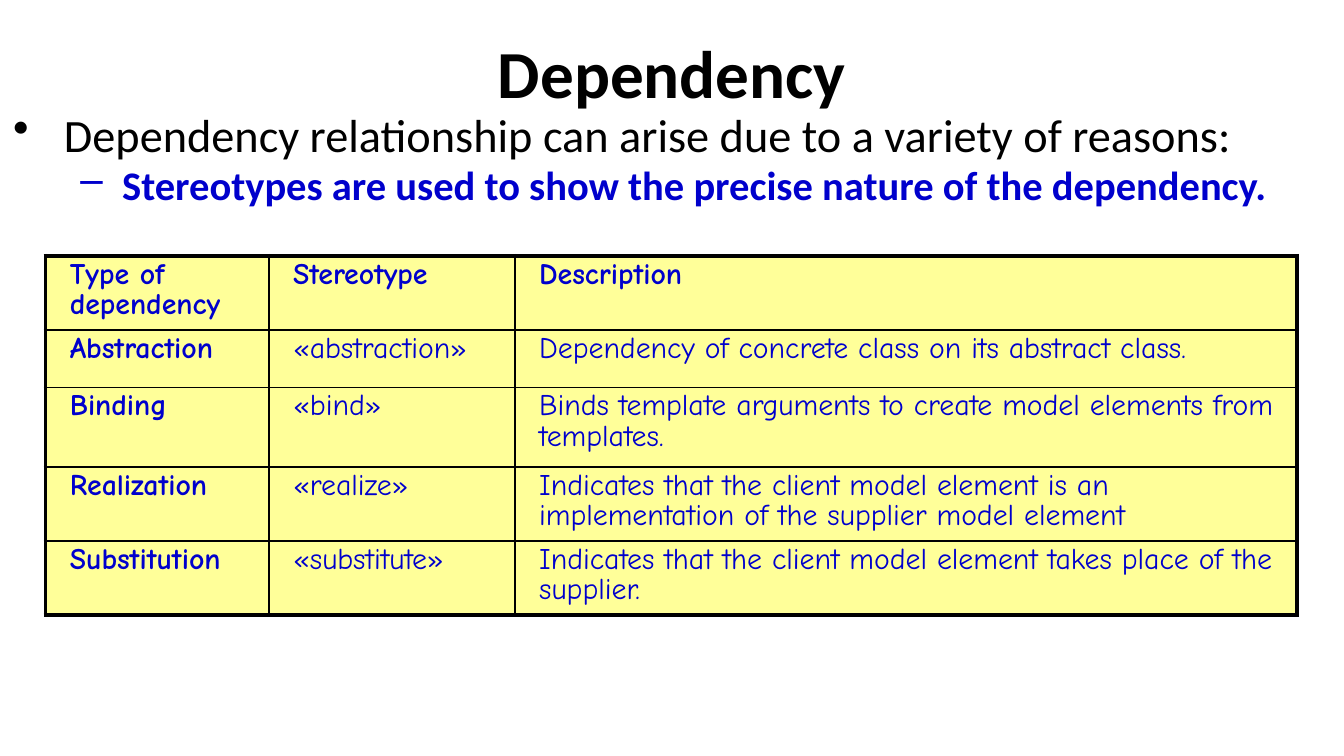
from lxml.etree import SubElement
from pptx import Presentation
from pptx.dml.color import RGBColor
from pptx.enum.text import MSO_ANCHOR as Anchor, PP_ALIGN as Align
from pptx.oxml import parse_xml
from pptx.oxml.ns import nsdecls, qn
from pptx.util import Cm, Pt


def colour(value):
    return RGBColor.from_string(value)


class SlideWriter:
    heading_font = "Calibri"
    table_font = "Comic Neue"
    black = "000000"
    blue = "0000CC"
    yellow = "FFFF99"
    thin, thick = 1, 2.25

    def __init__(self, page):
        self.page = page

    def span(self, para, text, size, font, ink, bold=False):
        run = para.add_run()
        run.text = text
        run.font.size = Pt(size)
        run.font.name = font
        run.font.bold = bold
        run.font.color.rgb = colour(ink)

    def indent(self, para, left, first=0):
        props = para._p.get_or_add_pPr()
        props.set("marL", str(Cm(left)))
        props.set("indent", str(Cm(first)))
        return props

    def text_box(self, left, top, width, height, anchor=Anchor.TOP):
        box = self.page.shapes.add_textbox(Cm(left), Cm(top), Cm(width), Cm(height))
        box.text_frame.word_wrap = True
        box.text_frame.vertical_anchor = anchor
        return box.text_frame

    def title(self, text, *place):
        para = self.text_box(*place, anchor=Anchor.MIDDLE).paragraphs[0]
        para.alignment = Align.CENTER
        self.span(para, text, 36, self.heading_font, self.black, True)

    def bullet(self, para, mark, text, left, hang, size, ink, bold=False, before=0):
        props = self.indent(para, left, -hang)
        SubElement(props, qn("a:buChar")).set("char", mark)
        para.line_spacing = 0.8
        para.space_before = Pt(before)
        self.span(para, text, size, self.heading_font, ink, bold)

    def borders(self, cell, widths):
        props = cell._tc.get_or_add_tcPr()
        for place, (side, width) in enumerate(zip("LRTB", widths)):
            props.insert(place, parse_xml(
                f'<a:ln{side} {nsdecls("a")} w="{Pt(width)}"><a:solidFill>'
                f'<a:srgbClr val="{self.black}"/></a:solidFill></a:ln{side}>'))

    def cell(self, cell, text, bold, widths):
        cell.fill.solid()
        cell.fill.fore_color.rgb = colour(self.yellow)
        cell.margin_left = cell.margin_right = Cm(0.18)
        cell.margin_top = cell.margin_bottom = Cm(0.08)
        self.borders(cell, widths)
        para = cell.text_frame.paragraphs[0]
        self.indent(para, 0.28)
        para.line_spacing = 0.88
        para.space_after = Pt(13.8)
        self.span(para, text, 16, self.table_font, self.blue, bold)

    def table(self, left, top, columns, heights, rows):
        grid = self.page.shapes.add_table(
            len(rows), len(columns), Cm(left), Cm(top),
            Cm(sum(columns)), Cm(sum(heights))).table
        grid.first_row = grid.horz_banding = False
        for column, width in zip(grid.columns, columns):
            column.width = Cm(width)
        for row, height in zip(grid.rows, heights):
            row.height = Cm(height)
        last_row, last_column = len(rows) - 1, len(columns) - 1
        for r, row in enumerate(rows):
            for c, text in enumerate(row):
                # Thick lines only on the outer frame
                outer = (c == 0, c == last_column, r == 0, r == last_row)
                widths = [self.thick if edge else self.thin for edge in outer]
                self.cell(grid.cell(r, c), text, r == 0 or c == 0, widths)


ROWS = [
    ("Type of dependency", "Stereotype", "Description"),
    ("Abstraction", "«abstraction»",
     "Dependency of concrete class on its abstract class."),
    ("Binding", "«bind»",
     "Binds template arguments to create model elements from templates."),
    ("Realization", "«realize»",
     "Indicates that the client model element is an implementation of the "
     "supplier model element"),
    ("Substitution", "«substitute»",
     "Indicates that the client model element takes place of the supplier."),
]


def main():
    deck = Presentation()
    deck.slide_width, deck.slide_height = Cm(25.4), Cm(14.28)
    writer = SlideWriter(deck.slides.add_slide(deck.slide_layouts[6]))

    # Title
    writer.title("Dependency", 4.57, 0.79, 16.26, 1.14)

    # Bullets
    body = writer.text_box(0, 2.08, 25.4, 3.35)
    writer.bullet(body.paragraphs[0], "•",
                  "Dependency relationship can arise due to a variety of reasons:",
                  0.96, 0.96, 24.8, writer.black)
    writer.bullet(body.add_paragraph(), "–",
                  "Stereotypes are used to show the precise nature of the dependency.",
                  2.06, 0.79, 21.7, writer.blue, bold=True, before=4.3)

    # Table of dependency types
    writer.table(0.86, 4.83, (4.22, 4.65, 14.78), (1.4, 1.09, 1.5, 1.4, 1.4), ROWS)

    deck.save("out.pptx")


if __name__ == "__main__":
    main()
